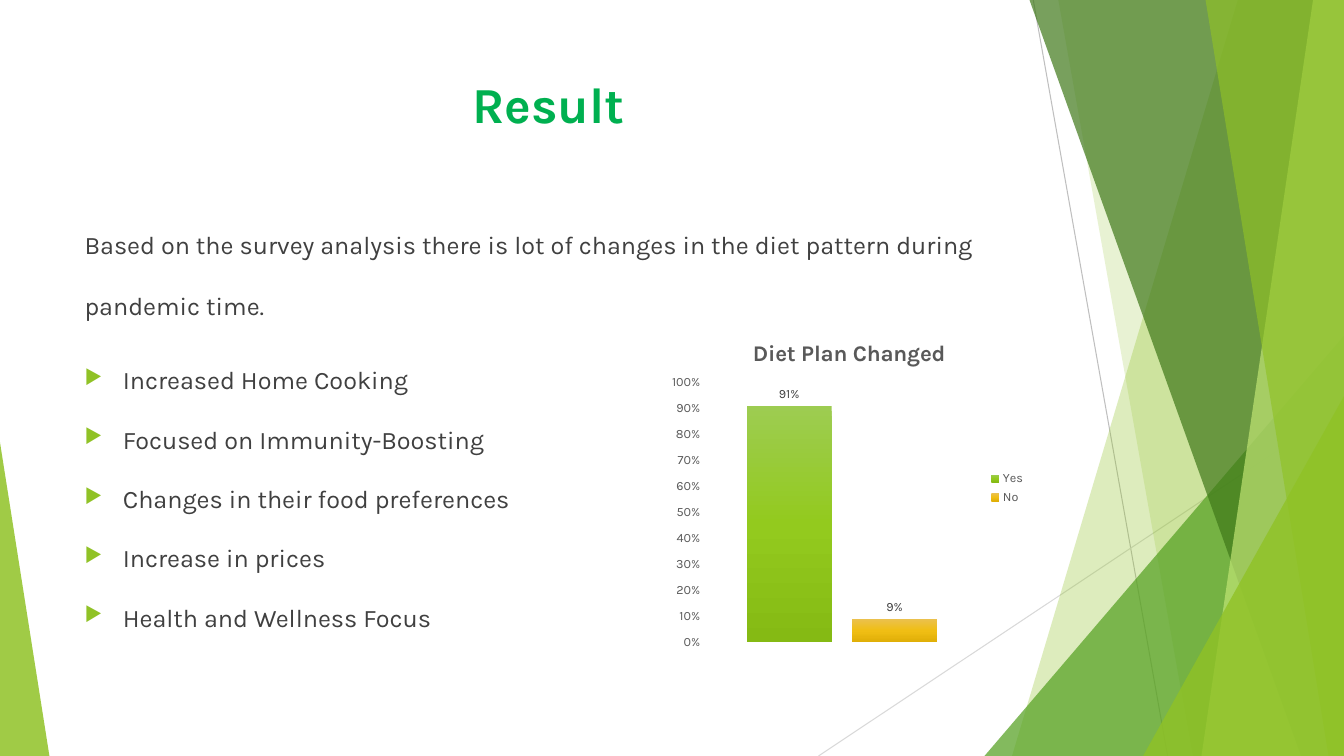
import dataclasses
import lxml.etree
import pptx
import pptx.chart.data
import pptx.dml.color
import pptx.enum.chart
import pptx.enum.shapes
import pptx.enum.text
import pptx.oxml.ns
import pptx.util

qn = pptx.oxml.ns.qn
Pt = pptx.util.Pt


def rgb(code):
    return pptx.dml.color.RGBColor.from_string(code)


def sub(node, tag, **attrs):
    return lxml.etree.SubElement(node, qn(tag), {k: str(v) for k, v in attrs.items()})


@dataclasses.dataclass
class Theme:
    face: str = "Karla"
    head: str = "00B050"
    text: str = "404040"
    soft: str = "595959"
    lime: str = "90C226"
    leaf: str = "54A021"
    moss: str = "3F7819"
    pale: str = "C0E474"
    big: int = 36
    body: int = 18
    name: int = 16
    small: int = 9


class Deck:
    """Draw styled elements on a slide, with lengths in percent of its size."""

    def __init__(self, theme):
        self.theme = theme
        self.show = pptx.Presentation()
        self.show.slide_width = pptx.util.Inches(13.333)
        self.show.slide_height = pptx.util.Inches(7.5)
        self.slide = self.show.slides.add_slide(self.show.slide_layouts[5])
        self.shapes = self.slide.shapes

    def spot(self, x, y):
        return (round(self.show.slide_width * x / 100),
                round(self.show.slide_height * y / 100))

    def box(self, x, y, w, h):
        return self.spot(x, y) + self.spot(w, h)

    def font(self, font, size, color, bold=False):
        font.name, font.size, font.bold = self.theme.face, Pt(size), bold
        font.color.rgb = rgb(color)

    def line(self, start, end, color):
        line = self.shapes.add_connector(pptx.enum.shapes.MSO_CONNECTOR.STRAIGHT,
                                         *self.spot(*start), *self.spot(*end))
        line.line.color.rgb = rgb(color)
        line.line.width = Pt(0.75)
        sub(line._element.spPr, "a:effectLst")

    def paint(self, shape, color, alpha):
        shape.shadow.inherit = False
        shape.line.fill.background()
        shape.fill.solid()
        shape.fill.fore_color.rgb = rgb(color)
        tint = shape._element.spPr.find(".//" + qn("a:srgbClr"))
        sub(tint, "a:alpha", val=alpha * 1000)

    def band(self, top, base, color, alpha):
        form = self.shapes.build_freeform(*self.spot(top, 0))
        form.add_line_segments([self.spot(*p) for p in ((100, 0), (100, 100), (base, 100))])
        self.paint(form.convert_to_shape(), color, alpha)

    def wedge(self, x, y, w, tip, color, alpha):
        kind = pptx.enum.shapes.MSO_SHAPE.ISOSCELES_TRIANGLE
        shape = self.shapes.add_shape(kind, *self.box(x, y, w, 100 - y))
        shape.adjustments[0] = tip
        self.paint(shape, color, alpha)

    def title(self, text, *area):
        shape = self.shapes.title
        shape.left, shape.top, shape.width, shape.height = self.box(*area)
        frame = shape.text_frame
        frame.text = text
        frame.auto_size = pptx.enum.text.MSO_AUTO_SIZE.NONE
        frame.vertical_anchor = pptx.enum.text.MSO_ANCHOR.TOP
        para = frame.paragraphs[0]
        para.alignment = pptx.enum.text.PP_ALIGN.CENTER
        self.font(para.font, self.theme.big, self.theme.head, True)
        self.shapes._spTree.append(shape._element)

    def bullet(self, para):
        props = para._p.get_or_add_pPr()
        indent = pptx.util.Inches(0.38)
        props.set("marL", str(indent))
        props.set("indent", str(-indent))
        sub(sub(props, "a:buClr"), "a:srgbClr", val=self.theme.lime)
        sub(props, "a:buSzPct", val=80000)
        sub(props, "a:buChar", char="▶")

    def body(self, intro, points, *area):
        frame = self.shapes.add_textbox(*self.box(*area)).text_frame
        frame.word_wrap = True
        frame.text = "\n".join([intro] + points)
        for i, para in enumerate(frame.paragraphs):
            para.line_spacing = 2.0 if i < 2 else 1.5
            para.space_before = Pt(10)
            if i:
                self.bullet(para)
            self.font(para.font, self.theme.body, self.theme.text)

    def place(self, node, index, **sizes):
        for old in node.findall(qn("c:layout")):
            node.remove(old)
        frame = sub(node, "c:layout")
        node.insert(index, frame)
        manual = sub(frame, "c:manualLayout")
        if "w" in sizes:
            sub(manual, "c:layoutTarget", val="inner")
        for key in "xy":
            sub(manual, f"c:{key}Mode", val="edge")
        for key, size in sizes.items():
            sub(manual, f"c:{key}", val=size)

    def shade(self, series, colors):
        fill = series.format.fill
        fill.gradient()
        fill.gradient_angle = 270
        stops = series._element.find(".//" + qn("a:gsLst"))
        for old in list(stops):
            stops.remove(old)
        for i, color in enumerate(colors):
            sub(sub(stops, "a:gs", pos=i * 50000), "a:srgbClr", val=color)

    def chart(self, title, rows, *area):
        theme, enum = self.theme, pptx.enum.chart
        data = pptx.chart.data.CategoryChartData(number_format="0%")
        data.categories = ["1"]
        for name, value, _ in rows:
            data.add_series(name, [value])
        chart = self.shapes.add_chart(enum.XL_CHART_TYPE.COLUMN_CLUSTERED,
                                      *self.box(*area), data).chart
        self.font(chart.font, theme.small, theme.soft)
        chart.has_title = True
        head = chart.chart_title
        head.text_frame.text = title
        self.font(head.text_frame.paragraphs[0].font, theme.name, theme.soft, True)
        head.include_in_layout = False
        self.place(head._element, 1, x=0.23, y=0.05)
        self.place(chart._chartSpace.chart.plotArea, 0, x=0.11, y=0.19, w=0.74, h=0.765)
        chart.has_legend = True
        chart.legend.position = enum.XL_LEGEND_POSITION.RIGHT
        chart.legend.include_in_layout = False
        self.font(chart.legend.font, theme.small, theme.soft)
        chart.category_axis.visible = False
        axis = chart.value_axis
        axis.minimum_scale, axis.maximum_scale, axis.major_unit = 0, 1, 0.1
        axis.has_major_gridlines = False
        axis.major_tick_mark = enum.XL_TICK_MARK.NONE
        axis.format.line.fill.background()
        axis.tick_labels.number_format = "0%"
        axis.tick_labels.number_format_is_linked = False
        self.font(axis.tick_labels.font, theme.small, theme.soft)
        plot = chart.plots[0]
        plot.gap_width, plot.overlap, plot.vary_by_categories = 100, -24, False
        for series, (_, _, colors) in zip(plot.series, rows):
            self.shade(series, colors)
            tags = series.data_labels
            tags.show_value = True
            tags.number_format, tags.number_format_is_linked = "0%", False
            tags.position = enum.XL_LABEL_POSITION.OUTSIDE_END
            self.font(tags.font, theme.small, theme.text)


def main():
    theme = Theme()
    deck = Deck(theme)
    deck.line((76.88, 0), (86.88, 100), "BFBFBF")
    deck.line((100, 53.73), (60.9, 100), "D9D9D9")
    deck.band(92.1, 75.3, theme.lime, 30)
    deck.band(78.75, 88.75, theme.lime, 20)
    deck.wedge(73.25, 44.4, 26.75, 1, theme.leaf, 72)
    deck.band(76.6, 96.8, theme.moss, 70)
    deck.band(97.7, 89.4, theme.pale, 70)
    deck.band(89.7, 98.85, theme.lime, 65)
    deck.wedge(85.05, 52.4, 14.95, 1, theme.lime, 80)
    deck.wedge(0, 58.5, 3.68, 0, theme.lime, 85)
    deck.title("Result", 5.55, 8.95, 70.5, 19.2)
    deck.body("Based on the survey analysis there is lot of changes in the diet "
              "pattern during pandemic time.",
              ["Increased Home Cooking", "Focused on Immunity-Boosting",
               "Changes in their food preferences", "Increase in prices",
               "Health and Wellness Focus"], 5.55, 25.7, 70.5, 65.6)
    deck.chart("Diet Plan Changed",
               [("Yes", 0.91, ("9DCC51", "93CA1E", "85BA14")),
                ("No", 0.09, ("EBC14F", "F0BE14", "E0AF07"))], 49.35, 42.1, 27.7, 44.9)
    deck.show.save("out.pptx")


if __name__ == "__main__":
    main()
